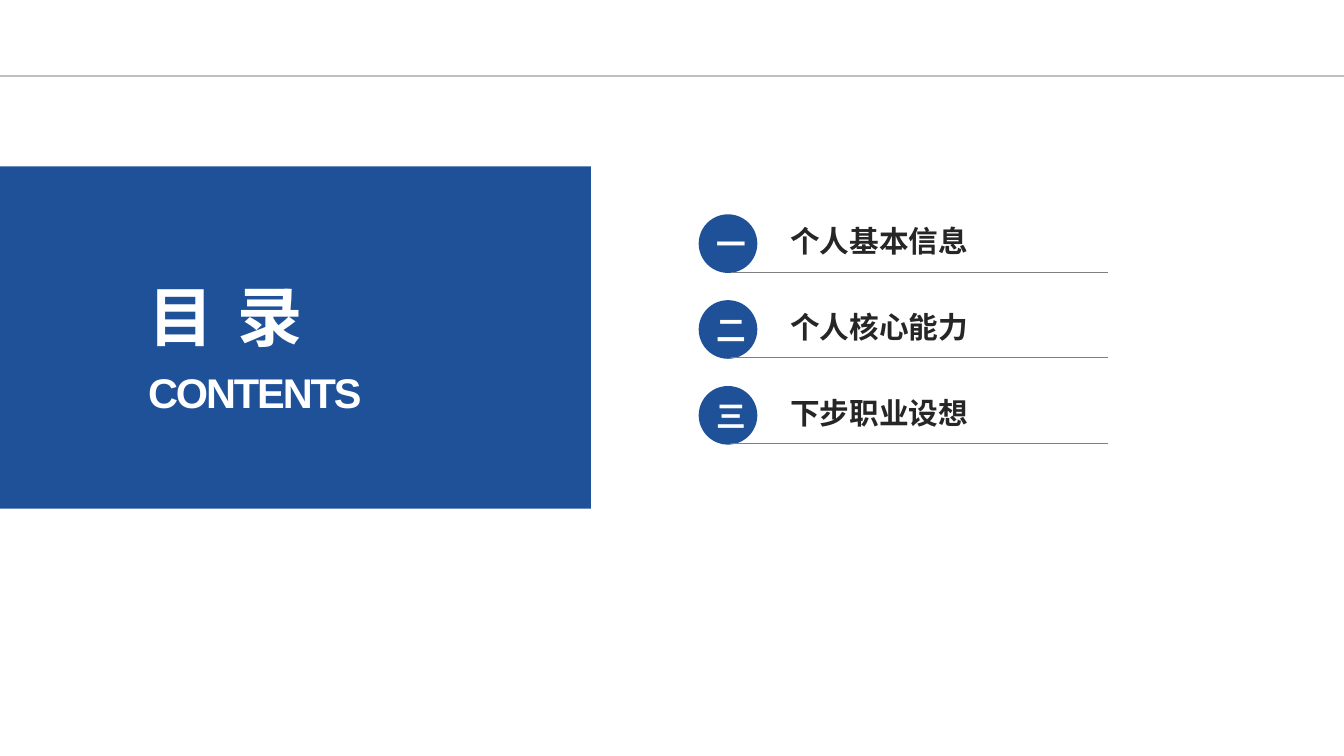
from pptx import Presentation
from pptx.dml.color import RGBColor
from pptx.enum.shapes import MSO_CONNECTOR, MSO_SHAPE
from pptx.enum.text import MSO_ANCHOR, MSO_AUTO_SIZE, PP_ALIGN
from pptx.oxml.ns import qn
from pptx.util import Inches, Pt
from lxml.etree import SubElement

BLUE = RGBColor(0x1F, 0x51, 0x99)
WHITE = RGBColor(0xFF, 0xFF, 0xFF)
DARK = RGBColor(0x26, 0x26, 0x26)
GREY = RGBColor(0x7F, 0x7F, 0x7F)
SILVER = RGBColor(0xBF, 0xBF, 0xBF)
CJK = "Noto Sans CJK SC"


def style(para, size, color, font=CJK, gap=0):
    """Format the run of a paragraph; gap is letter spacing in points."""
    run = para.runs[0]
    run.font.size = Pt(size)
    run.font.bold = True
    run.font.name = font
    run.font.color.rgb = color
    props = run.font._element
    SubElement(props, qn("a:ea")).set("typeface", CJK)
    if gap:
        props.set("spc", str(round(gap * 100)))


def add_rule(shapes, left, right, y, color, width):
    rule = shapes.add_connector(MSO_CONNECTOR.STRAIGHT, Inches(left),
                                Inches(y), Inches(right), Inches(y))
    rule.line.color.rgb = color
    rule.line.width = Pt(width)
    SubElement(rule._element.spPr, qn("a:effectLst"))


deck = Presentation()
deck.slide_width = Inches(12.6)
deck.slide_height = Inches(7.09)
slide = deck.slides.add_slide(deck.slide_layouts[6])

add_rule(slide.shapes, 0, 12.6, 0.71, SILVER, 1.25)

# Title panel
panel = slide.shapes.add_shape(MSO_SHAPE.RECTANGLE, 0, Inches(1.56),
                               Inches(5.54), Inches(3.21))
panel.shadow.inherit = False
panel.fill.solid()
panel.fill.fore_color.rgb = BLUE
panel.line.fill.background()

title = slide.shapes.add_textbox(Inches(1.29), Inches(2.36),
                                 Inches(2.48), Inches(1.6))
frame = title.text_frame
frame.word_wrap = True
frame.auto_size = MSO_AUTO_SIZE.SHAPE_TO_FIT_TEXT
frame.text = "目 录\nCONTENTS"
for para, size, gap in zip(frame.paragraphs, (44, 28), (3.3, -1.4)):
    para.alignment = PP_ALIGN.JUSTIFY
    para.line_spacing = 1.25
    style(para, size, WHITE, "Arial", gap)

# Contents list
items = [("一", "个人基本信息"), ("二", "个人核心能力"), ("三", "下步职业设想")]
for row, (number, topic) in enumerate(items):
    top = 2.01 + row * 1.61 / 2
    group = slide.shapes.add_group_shape()

    label = group.shapes.add_textbox(Inches(7.31), Inches(top),
                                     Inches(3.05), Inches(0.5))
    frame = label.text_frame
    frame.word_wrap = True
    frame.vertical_anchor = MSO_ANCHOR.MIDDLE
    frame.text = topic
    style(frame.paragraphs[0], 20, DARK)

    badge = group.shapes.add_shape(MSO_SHAPE.OVAL, Inches(6.55), Inches(top),
                                   Inches(0.55), Inches(0.55))
    badge.shadow.inherit = False
    badge.fill.solid()
    badge.fill.fore_color.rgb = BLUE
    badge.line.fill.background()
    frame = badge.text_frame
    frame.margin_left = Inches(0.07)
    frame.margin_right = frame.margin_top = frame.margin_bottom = 0
    frame.vertical_anchor = MSO_ANCHOR.MIDDLE
    frame.text = number
    frame.paragraphs[0].alignment = PP_ALIGN.CENTER
    style(frame.paragraphs[0], 20, WHITE)

    add_rule(group.shapes, 6.85, 10.39, top + 0.54, GREY, 0.5)

deck.save("out.pptx")
